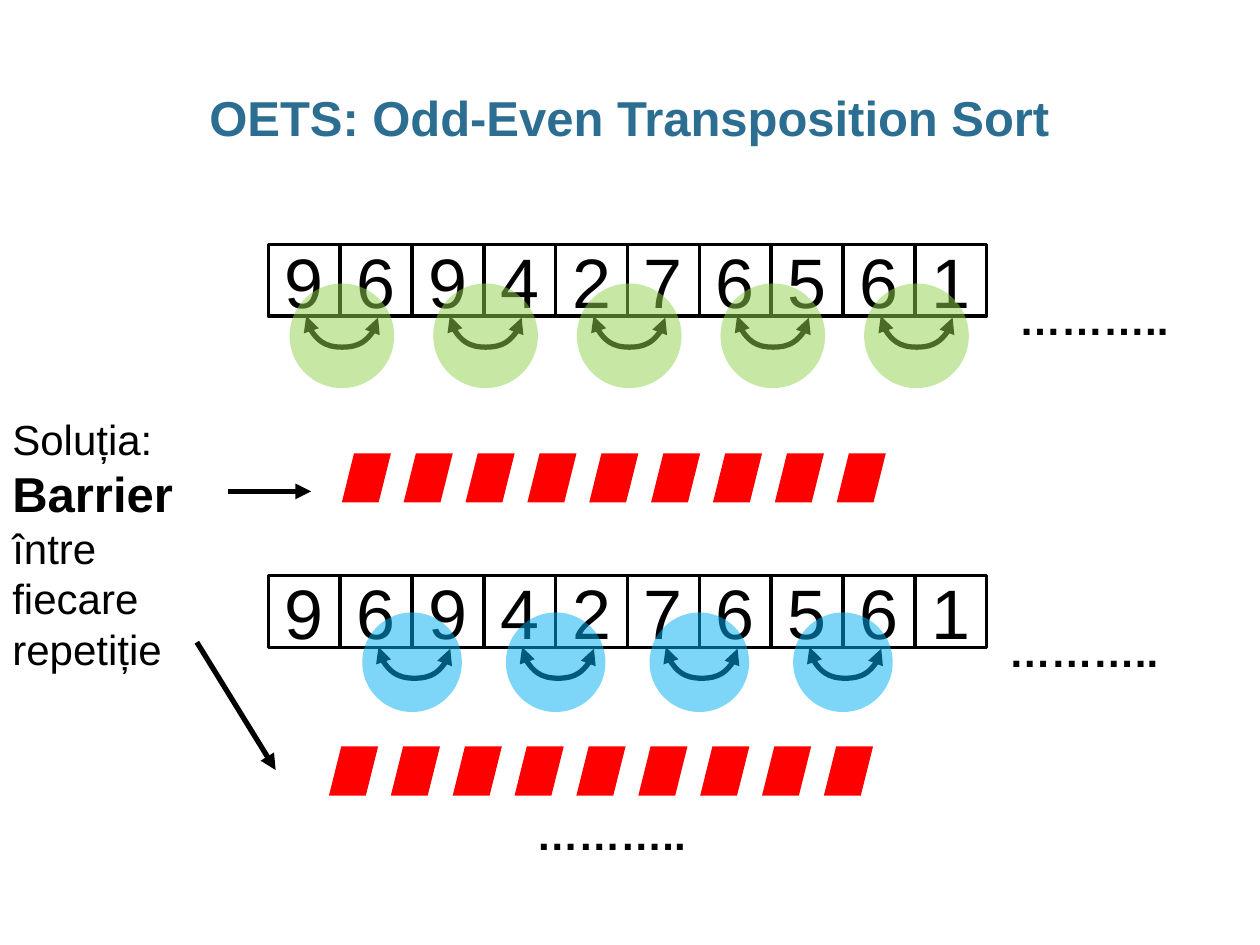
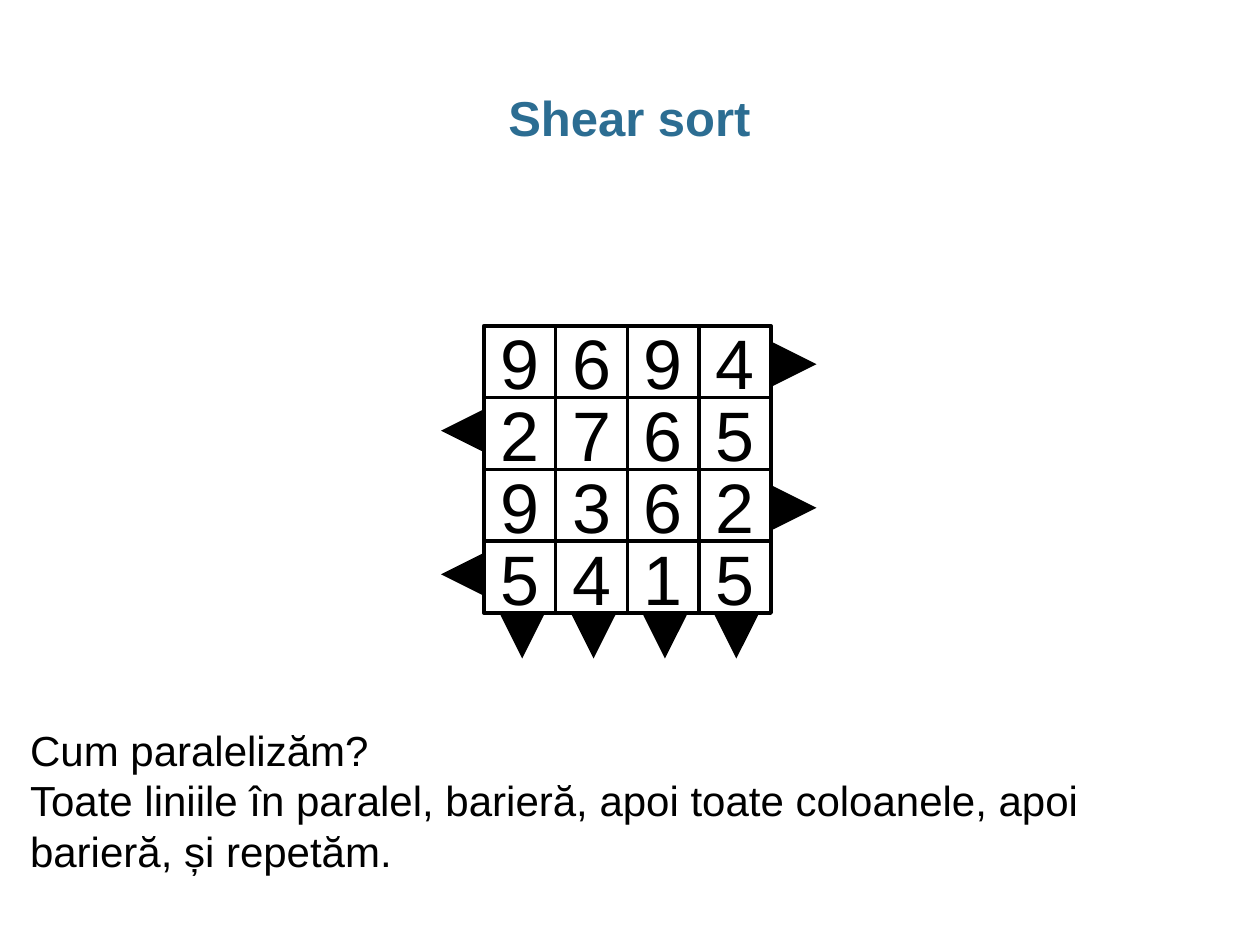
import pptx
import pptx.util
import pptx.dml.color
import pptx.enum.shapes
import pptx.enum.text
import pptx.oxml.ns
from lxml import etree

Pt = pptx.util.Pt
RGBColor = pptx.dml.color.RGBColor
SHAPE = pptx.enum.shapes.MSO_SHAPE
LINK = pptx.enum.shapes.MSO_CONNECTOR
ALIGN = pptx.enum.text.PP_ALIGN
ANCHOR = pptx.enum.text.MSO_ANCHOR
qn = pptx.oxml.ns.qn

BLACK = RGBColor(0, 0, 0)
TEAL = RGBColor(0x2C, 0x6D, 0x92)
GREEN = RGBColor(0x92, 0xD0, 0x50)
BLUE = RGBColor(0x00, 0xB0, 0xF0)
RED = RGBColor(0xFF, 0, 0)

BODY = {"name": "Arial", "size": Pt(24), "bold": False, "color": BLACK}
HEAD = BODY | {"size": Pt(28), "bold": True, "color": TEAL}
STRONG = BODY | {"size": Pt(28), "bold": True}
DOTS = BODY | {"bold": True}
DIGIT = BODY | {"size": Pt(40)}

CELL = 41.04
PAIR = 2 * CELL
BAR = 28.1
BAR_STEP = 35.35


def style(font, look):
    for key, value in look.items():
        if key == "color":
            font.color.rgb = value
        else:
            setattr(font, key, value)


def add_text(slide, box, paras, wrap=True):
    """Add a text box; each paragraph is a list of (text, look) runs."""
    frame = slide.shapes.add_textbox(*map(Pt, box)).text_frame
    frame.word_wrap = wrap
    for i, runs in enumerate(paras):
        para = frame.add_paragraph() if i else frame.paragraphs[0]
        for words, look in runs:
            run = para.add_run()
            run.text = words
            style(run.font, look)
    return frame


def add_title(slide, words):
    frame = add_text(slide, (24.5, 49, 670.3, 36), [[(words, HEAD)]])
    frame.margin_left = frame.margin_right = 0
    para = frame.paragraphs[0]
    para.alignment = ALIGN.CENTER
    para.line_spacing = 0.95


def add_dots(slide, left, top):
    add_text(slide, (left, top, 100.8, 36), [[("………..", DOTS)]], wrap=False)


def add_cell(slide, left, top, digit):
    cell = slide.shapes.add_shape(SHAPE.RECTANGLE, *map(Pt, (left, top, CELL, CELL)))
    cell.shadow.inherit = False
    cell.fill.background()
    cell.line.color.rgb = BLACK
    cell.line.width = Pt(2)
    frame = cell.text_frame
    frame.vertical_anchor = ANCHOR.MIDDLE
    para = frame.paragraphs[0]
    para.alignment = ALIGN.CENTER
    run = para.add_run()
    run.text = digit
    style(run.font, DIGIT)


def add_row(slide, left, top, digits):
    for i, digit in enumerate(digits):
        add_cell(slide, left + i * CELL, top, digit)


def add_blob(slide, kind, left, top, size, color, alpha=None):
    """Add a plain filled shape, with its opacity in percent if given."""
    blob = slide.shapes.add_shape(kind, *map(Pt, (left, top, size, size)))
    blob.shadow.inherit = False
    blob.fill.solid()
    blob.fill.fore_color.rgb = color
    blob.line.fill.background()
    if alpha:
        tint = blob._element.spPr.find(qn("a:solidFill"))[0]
        etree.SubElement(tint, qn("a:alpha"), val=str(alpha * 1000))


def add_arrow(slide, ends, width=3, kind=LINK.STRAIGHT, tips=("tailEnd",)):
    link = slide.shapes.add_connector(kind, *map(Pt, ends))
    link.line.color.rgb = BLACK
    link.line.width = Pt(width)
    props = link._element.spPr
    for tip in tips:
        etree.SubElement(props.find(qn("a:ln")), qn("a:" + tip), type="triangle")
    etree.SubElement(props, qn("a:effectLst"))
    return props


def add_swap(slide, left, top):
    """Add a U-shaped double arrow, one cell wide."""
    mid = left + CELL / 2
    ends = (mid + 0.5, top - CELL / 2, mid - 0.5, top + CELL / 2)
    props = add_arrow(slide, ends, kind=LINK.CURVE, tips=("headEnd", "tailEnd"))
    props.find(qn("a:xfrm")).set("rot", "16200000")
    rule = props.find(qn("a:prstGeom")).find(qn("a:avLst"))
    etree.SubElement(rule, qn("a:gd"), name="adj1", fmla="val 1800000")


def add_pairs(slide, count, swap, disc, size, color):
    """Add swap arrows, each under a clear disc, one to a pair of cells."""
    for i in range(count):
        add_swap(slide, swap[0] + i * PAIR, swap[1])
    for i in range(count):
        add_blob(slide, SHAPE.OVAL, disc[0] + i * PAIR, disc[1], size, color, 51)


def add_fence(slide, left, top):
    for i in range(9):
        add_blob(slide, SHAPE.PARALLELOGRAM, left + i * BAR_STEP, top, BAR, RED)


def build_oets(slide):
    for top in (139.7, 329):
        add_row(slide, 153.4, top, "9694276561")
    add_title(slide, "OETS: Odd-Even Transposition Sort")
    add_pairs(slide, 5, (175, 181), (165.5, 162), 59.8, GREEN)
    add_pairs(slide, 4, (216.3, 370.2), (207, 350), 56.9, BLUE)
    for spot in ((575.3, 164.2), (569.5, 354.2), (299.5, 458.6)):
        add_dots(slide, *spot)
    for spot in ((195.3, 259), (188, 426.5)):
        add_fence(slide, *spot)
    add_text(slide, (0, 232.6, 136, 157.7), [
        [("Soluția:", BODY)],
        [("Barrier", STRONG), (" între fiecare repetiție", BODY)],
    ])
    add_arrow(slide, (130.3, 280.8, 177.8, 280.8))
    add_arrow(slide, (112.5, 367, 157.5, 440))


def build_shear(slide):
    for i, digits in enumerate(("9694", "2765", "9362", "5415")):
        add_row(slide, 276.5, 186.2 + i * CELL, digits)
    add_title(slide, "Shear sort")
    add_text(slide, (10.1, 410.4, 685.4, 94.3), [
        [("Cum paralelizăm?", BODY)],
        [("Toate liniile în paralel, barieră, apoi toate coloanele, "
          "apoi barieră, și repetăm.", BODY)],
    ])
    for i in range(4):
        down = 298.4 + i * 40.8
        add_arrow(slide, (down, 353.3, down, 376.3), 8.25)
    for i in range(2):
        right, left = 208.1 + i * PAIR, 246.1 + i * PAIR
        add_arrow(slide, (448.6, right, 466.6, right), 8.25)
        add_arrow(slide, (272.9, left, 252, left), 8.25)


def main():
    deck = pptx.Presentation()
    deck.slide_width, deck.slide_height = Pt(720), Pt(540)
    for build in (build_oets, build_shear):
        build(deck.slides.add_slide(deck.slide_layouts[6]))
    deck.save("out.pptx")


if __name__ == "__main__":
    main()
